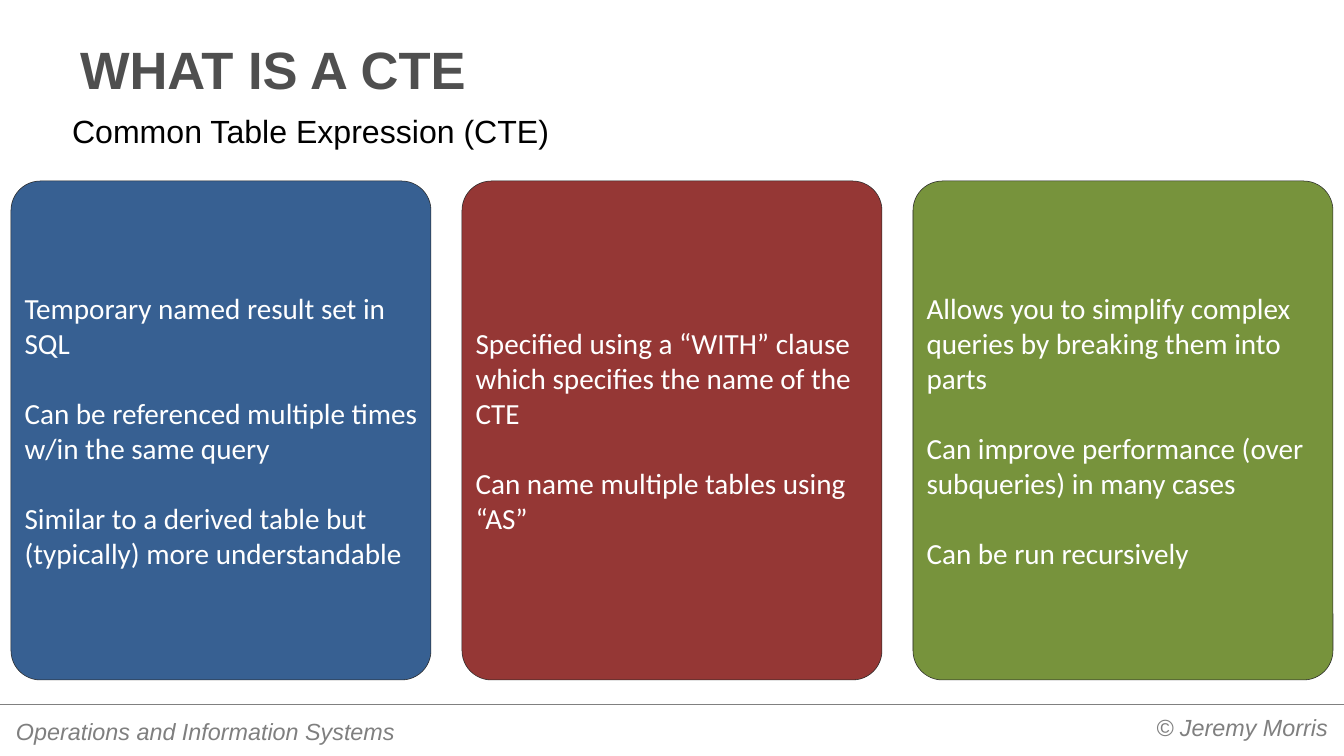
import pptx
import pptx.dml.color
import pptx.enum.shapes
import pptx.enum.text
import pptx.oxml
import pptx.util

PX = 914400 / 52.5
SLIDE_W, SLIDE_H = 1344, 756
COLORS = {
    "heading": "4F4F4F", "subtitle": "000000", "footer": "7F7F7F",
    "rule": "808080", "outline": "262626", "card_text": "FFFFFF",
    "blue": "376092", "red": "953735", "green": "77933C",
}
CARDS = [
    ("blue", ["Temporary named result set in SQL",
              "Can be referenced multiple times w/in the same query",
              "Similar to a derived table but (typically) more understandable"]),
    ("red", ["Specified using a “WITH” clause which specifies the name of the CTE",
             "Can name multiple tables using “AS”"]),
    ("green", ["Allows you to simplify complex queries by breaking them into parts",
               "Can improve performance (over subqueries) in many cases",
               "Can be run recursively"]),
]
ALIGN = pptx.enum.text.PP_ALIGN
ANCHOR = pptx.enum.text.MSO_ANCHOR


def emu(*pixels):
    return [pptx.util.Emu(round(p * PX)) for p in pixels]


def rgb(name):
    return pptx.dml.color.RGBColor.from_string(COLORS[name])


def write(shape, paragraphs, size, color, font="Arial", bold=False, italic=False,
          align=ALIGN.LEFT, anchor=ANCHOR.TOP, inset=(5, 3), gap=0):
    """Fill a shape with paragraphs, gap points apart."""
    frame = shape.text_frame
    frame.word_wrap = True
    frame.vertical_anchor = anchor
    frame.margin_left, frame.margin_top = emu(*inset)
    frame.margin_right, frame.margin_bottom = emu(*inset)
    for i, text in enumerate(paragraphs):
        paragraph = frame.add_paragraph() if i else frame.paragraphs[0]
        paragraph.alignment = align
        paragraph.space_before = pptx.util.Pt(gap if i else 0)
        run = paragraph.add_run()
        run.text = text
        run.font.name = font
        run.font.size = pptx.util.Pt(size)
        run.font.bold, run.font.italic = bold, italic
        run.font.color.rgb = rgb(color)


def add_text(slide, box, text, size, color, **style):
    write(slide.shapes.add_textbox(*emu(*box)), [text], size, color, **style)


def add_footer(slide, box):
    left, top, width, height = box
    # Rule across the top of the footer
    rule = slide.shapes.add_connector(
        pptx.enum.shapes.MSO_CONNECTOR.STRAIGHT, *emu(left, top, left + width, top))
    rule.line.color.rgb = rgb("rule")
    rule.line.width = pptx.util.Pt(0.75)
    rule._element.spPr.append(pptx.oxml.parse_xml(
        '<a:effectLst xmlns:a="http://schemas.openxmlformats.org/drawingml/2006/main"/>'))
    # Author on the right, department on the left
    style = dict(italic=True, inset=(9, 5))
    add_text(slide, (left + width - 579, top + 4, 572, height - 4),
             "© Jeremy Morris", 32, "footer", align=ALIGN.RIGHT, **style)
    add_text(slide, (left + 7, top + 8, 459, 38),
             "Operations and Information Systems", 32, "footer", **style)


def add_header(slide, box):
    left, top, width, height = box
    add_text(slide, (left, top, width, 78), "WHAT IS A CTE", 72, "heading",
             bold=True, anchor=ANCHOR.BOTTOM, inset=(13, 6))
    add_text(slide, (left, top + 80, 669, height - 80),
             "Common Table Expression (CTE)", 44, "subtitle")


def add_cards(slide, box, card_width=420):
    left, top, width, height = box
    pitch = (width - card_width) / (len(CARDS) - 1)
    for i, (color, points) in enumerate(CARDS):
        card = slide.shapes.add_shape(
            pptx.enum.shapes.MSO_SHAPE.ROUNDED_RECTANGLE,
            *emu(left + i * pitch, top, card_width, height))
        card.adjustments[0] = 0.07
        card.shadow.inherit = False
        card.fill.solid()
        card.fill.fore_color.rgb = rgb(color)
        card.line.color.rgb = rgb("outline")
        card.line.width = pptx.util.Pt(0.75)
        write(card, points, 40, "card_text", font="Calibri",
              anchor=ANCHOR.MIDDLE, gap=48)


deck = pptx.Presentation()
deck.slide_width, deck.slide_height = emu(SLIDE_W, SLIDE_H)
cte_slide = deck.slides.add_slide(deck.slide_layouts[6])
add_footer(cte_slide, (0, 704, SLIDE_W, 52))
add_header(cte_slide, (67, 28, 1210, 124))
add_cards(cte_slide, (11, 181, SLIDE_W - 22, 499))
deck.save("out.pptx")
